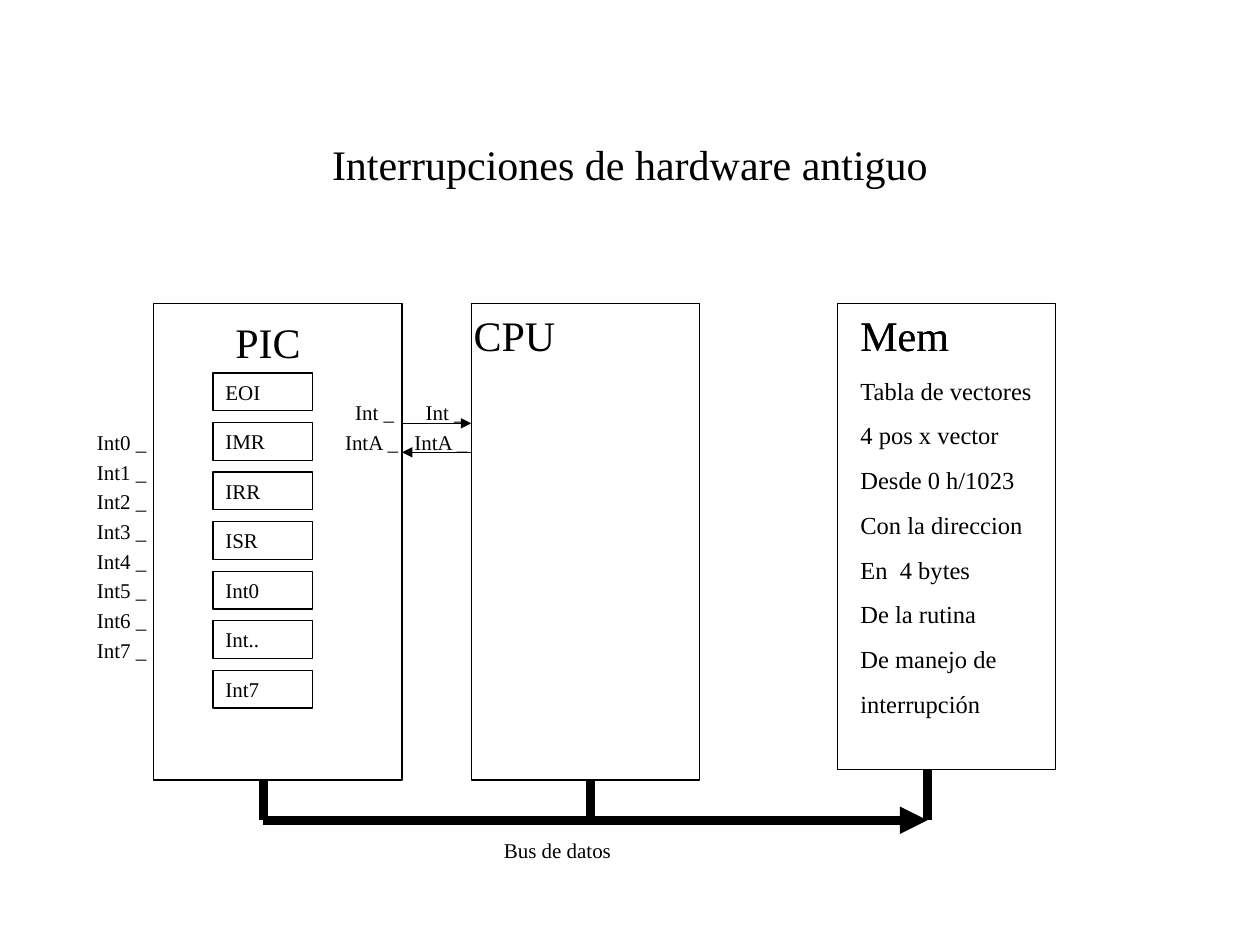
"""Draw the old hardware interrupt diagram: PIC, CPU, memory and data bus."""
import pptx
import pptx.dml.color
import pptx.enum.shapes
import pptx.enum.text
import pptx.oxml
import pptx.oxml.ns
import pptx.util

Inches = pptx.util.Inches
Pt = pptx.util.Pt
RGBColor = pptx.dml.color.RGBColor
Align = pptx.enum.text.PP_ALIGN
Anchor = pptx.enum.text.MSO_ANCHOR
Fit = pptx.enum.text.MSO_AUTO_SIZE
BLACK = RGBColor(0, 0, 0)
FONT = "Times New Roman"
BIG, MID, SMALL = 24, 14, 12
THIN, THICK = 0.75, 5.25
WIDE, SLIM, HIGH, LOW = 2.05, 0.79, 0.5, 0.3


class Page:
    def __init__(self, slide):
        self.slide = slide
        self.shapes = slide.shapes

    def style(self, par, size, before):
        par.space_before = Pt(before)
        for run in par.runs:
            run.font.name = FONT
            run.font.size = Pt(size)
            run.font.color.rgb = BLACK

    def letter(self, shape, text, size):
        frame = shape.text_frame
        frame.text = text
        frame.word_wrap = True
        frame.auto_size = Fit.SHAPE_TO_FIT_TEXT
        frame.vertical_anchor = Anchor.TOP
        for par in frame.paragraphs:
            par.alignment = Align.LEFT
            self.style(par, size, size * 0.625)
        return frame

    def label(self, text, x, y, w, h, size=SMALL):
        box = self.shapes.add_textbox(Inches(x), Inches(y), Inches(w), Inches(h))
        return self.letter(box, text, size)

    def title(self, text, x, y, w, h):
        frame = self.label(text, x, y, w, h, BIG)
        frame.auto_size = Fit.NONE
        frame.vertical_anchor = Anchor.MIDDLE
        par = frame.paragraphs[0]
        par.alignment = Align.CENTER
        par.space_before = Pt(0)

    def block(self, x, y, w, h, text=""):
        kind = pptx.enum.shapes.MSO_SHAPE.RECTANGLE
        box = self.shapes.add_shape(kind, Inches(x), Inches(y), Inches(w), Inches(h))
        box.shadow.inherit = False
        box.fill.background()
        box.line.color.rgb = BLACK
        box.line.width = Pt(THIN)
        if text:
            self.letter(box, text, SMALL)

    def line(self, x1, y1, x2, y2, width, head=False):
        kind = pptx.enum.shapes.MSO_CONNECTOR.STRAIGHT
        link = self.shapes.add_connector(
            kind, Inches(x1), Inches(y1), Inches(x2), Inches(y2))
        link.line.color.rgb = BLACK
        link.line.width = Pt(width)
        props = link.element.spPr
        space = pptx.oxml.ns.nsdecls("a")
        if head:
            tail = pptx.oxml.parse_xml(f"<a:tailEnd {space} type='triangle'/>")
            props.get_or_add_ln().append(tail)
        props.append(pptx.oxml.parse_xml(f"<a:effectLst {space}/>"))


def spread(first, last, count):
    return [first + (last - first) * i / (count - 1) for i in range(count)]


def main():
    deck = pptx.Presentation()
    deck.slide_width = Inches(10)
    deck.slide_height = Inches(7.5)
    page = Page(deck.slides.add_slide(deck.slide_layouts[6]))
    page.title("Interrupciones de hardware antiguo", 0.75, 0.67, 8.5, 1.25)

    top, base, bus = 2.41, 6.19, 6.51
    notes = ["Mem", "Tabla de vectores", "4 pos x vector", "Desde 0 h/1023",
             "Con la direccion", "En  4 bytes", "De la rutina",
             "De manejo de", "interrupción"]
    frame = page.label("\n".join(notes), 6.73, top, WIDE, 3.34, MID)
    page.style(frame.paragraphs[0], BIG, 15)

    for name, x, y in [("CPU", 3.66, top), ("PIC", 1.77, 2.46), ("Mem", 6.73, top)]:
        page.label(name, x, y, WIDE, HIGH, BIG)
    for x, w, h in [(1.22, 1.97, 3.78), (3.74, 1.81, 3.78), (6.65, 1.73, 3.7)]:
        page.block(x, top, w, h)

    for i, y in enumerate(spread(3.36, 5.01, 8)):
        page.label(f"Int{i} _", 0.67, y, SLIM, LOW)
    for name, y, left, right in [("Int _", 3.12, 2.72, 3.28),
                                 ("IntA _", 3.36, 2.64, 3.19)]:
        for x in (left, right):
            page.label(name, x, y, SLIM, LOW)

    page.line(3.19, 3.36, 3.74, 3.36, THIN, head=True)
    page.line(3.74, 3.59, 3.19, 3.59, THIN, head=True)
    page.line(2.09, bus, 7.36, bus, THICK, head=True)
    for x, y in [(2.09, base), (4.69, base), (7.36, 6.11)]:
        page.line(x, y, x, bus, THICK)
    page.label("Bus de datos", 3.9, 6.6, 1.65, LOW)

    names = ["EOI", "IMR", "IRR", "ISR", "Int0", "Int..", "Int7"]
    for name, y in zip(names, spread(2.96, 5.32, len(names))):
        page.block(1.69, y, SLIM, LOW, name)

    deck.save("out.pptx")


if __name__ == "__main__":
    main()
